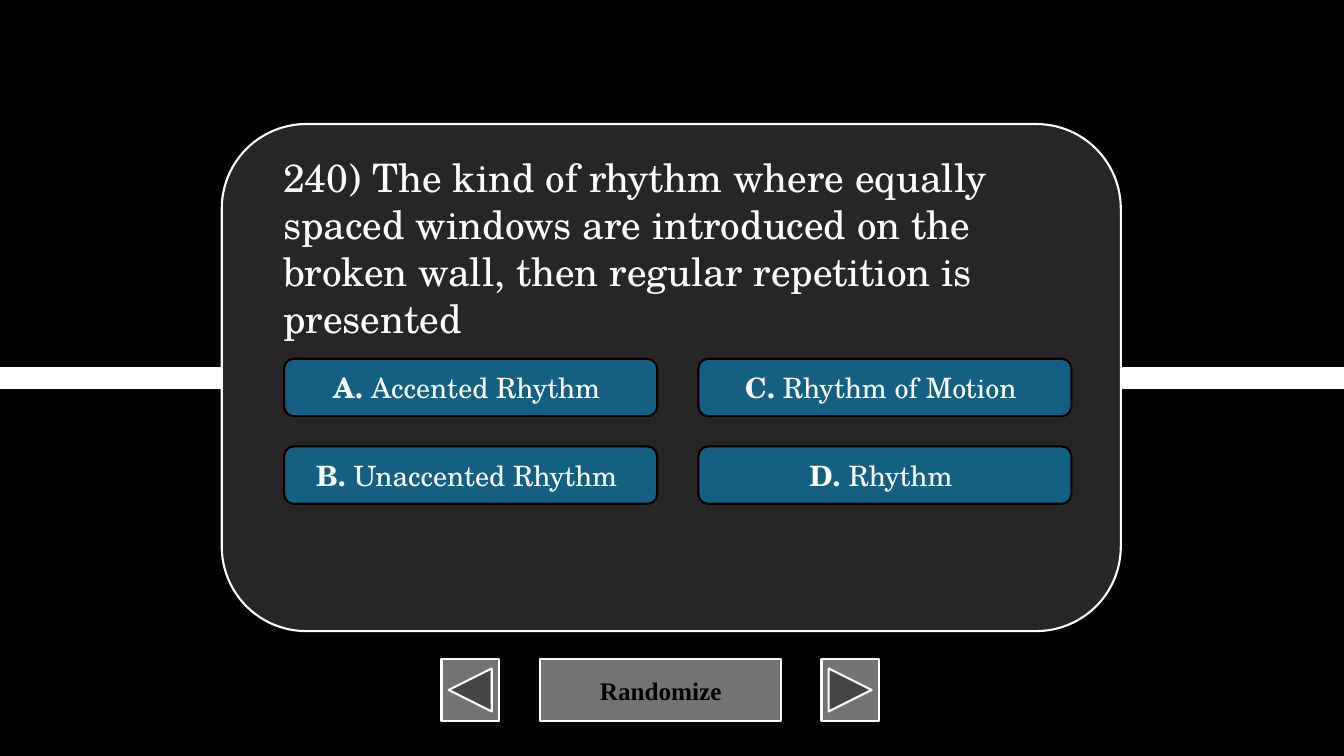
from dataclasses import dataclass

from lxml import etree
from pptx import Presentation
from pptx.dml.color import RGBColor
from pptx.enum.shapes import MSO_CONNECTOR, MSO_SHAPE
from pptx.enum.text import MSO_ANCHOR, MSO_AUTO_SIZE, PP_ALIGN
from pptx.oxml.ns import qn
from pptx.shapes.autoshape import Shape
from pptx.slide import Slide
from pptx.text.text import _Paragraph
from pptx.util import Pt

STRAIGHT = MSO_CONNECTOR.STRAIGHT
ROUNDED = MSO_SHAPE.ROUNDED_RECTANGLE
BLANK_BUTTON = MSO_SHAPE.ACTION_BUTTON_CUSTOM
BACK_BUTTON = MSO_SHAPE.ACTION_BUTTON_BACK_OR_PREVIOUS
NEXT_BUTTON = MSO_SHAPE.ACTION_BUTTON_FORWARD_OR_NEXT
MIDDLE, TOP = MSO_ANCHOR.MIDDLE, MSO_ANCHOR.TOP
CENTER, LEFT = PP_ALIGN.CENTER, PP_ALIGN.LEFT
NO_AUTOFIT = MSO_AUTO_SIZE.NONE

BLACK = RGBColor(0x00, 0x00, 0x00)
WHITE = RGBColor(0xFF, 0xFF, 0xFF)
PANEL_GRAY = RGBColor(0x26, 0x26, 0x26)
BUTTON_GRAY = RGBColor(0x74, 0x74, 0x74)
ANSWER_BLUE = RGBColor(0x15, 0x60, 0x82)

QUIZ_FONT = "TeX Gyre Schola"
BUTTON_FONT = "Times New Roman"

SLIDE_WIDTH, SLIDE_HEIGHT = 960, 540
ANSWER_LEFT, ANSWER_TOP = 203, 256.3
ANSWER_WIDTH, ANSWER_HEIGHT = 266.4, 41
COLUMN_STEP, ROW_STEP = 295.9, 62.6
ANSWER_ROWS = 2

QUESTION = (
    "240) The kind of rhythm where equally spaced windows are introduced "
    "on the broken wall, then regular repetition is presented"
)


@dataclass(frozen=True)
class Box:
    left: float
    top: float
    width: float
    height: float


@dataclass(frozen=True)
class Answer:
    letter: str
    wording: str


ANSWERS = [
    Answer("A. ", "Accented Rhythm "),
    Answer("B. ", "Unaccented Rhythm "),
    Answer("C. ", "Rhythm of Motion "),
    Answer("D. ", "Rhythm "),
]


def add_run(paragraph: _Paragraph, text: str, font: str, size: float,
            color: RGBColor, bold: bool = False) -> None:
    run = paragraph.add_run()
    run.text = text
    run.font.name = font
    run.font.size = Pt(size)
    run.font.bold = bold
    run.font.color.rgb = color


def add_panel(slide: Slide, preset: MSO_SHAPE, box: Box,
              fill: RGBColor, outline: RGBColor) -> Shape:
    """Add a flat filled shape whose text is centred both ways."""
    panel = slide.shapes.add_shape(
        preset, Pt(box.left), Pt(box.top), Pt(box.width), Pt(box.height))
    panel.shadow.inherit = False
    panel.fill.solid()
    panel.fill.fore_color.rgb = fill
    panel.line.color.rgb = outline
    panel.line.width = Pt(1.5)
    panel.text_frame.vertical_anchor = MIDDLE
    panel.text_frame.paragraphs[0].alignment = CENTER
    return panel


def add_band(slide: Slide) -> None:
    """Draw the thick white line across the middle of the slide."""
    middle = Pt(SLIDE_HEIGHT / 2)
    band = slide.shapes.add_connector(
        STRAIGHT, Pt(0), middle, Pt(SLIDE_WIDTH), middle)
    band.line.color.rgb = WHITE
    band.line.width = Pt(16)
    etree.SubElement(band._element.spPr, qn("a:effectLst"))


def add_navigation(slide: Slide) -> None:
    top, height, arrow_width = 470.9, 43.9, 41
    randomize = add_panel(slide, BLANK_BUTTON, Box(385.9, top, 172.1, height),
                          BUTTON_GRAY, WHITE)
    add_run(randomize.text_frame.paragraphs[0], "Randomize",
            BUTTON_FONT, 18, BLACK, bold=True)
    for preset, left in ((BACK_BUTTON, 315.4), (NEXT_BUTTON, 586.8)):
        add_panel(slide, preset, Box(left, top, arrow_width, height),
                  BUTTON_GRAY, WHITE)


def add_answers(slide: Slide) -> None:
    """Lay the answers out column by column."""
    for index, answer in enumerate(ANSWERS):
        column, row = divmod(index, ANSWER_ROWS)
        box = Box(ANSWER_LEFT + column * COLUMN_STEP,
                  ANSWER_TOP + row * ROW_STEP, ANSWER_WIDTH, ANSWER_HEIGHT)
        button = add_panel(slide, ROUNDED, box, ANSWER_BLUE, BLACK)
        line = button.text_frame.paragraphs[0]
        add_run(line, answer.letter, QUIZ_FONT, 20, WHITE, bold=True)
        add_run(line, answer.wording, QUIZ_FONT, 20, WHITE)


def place_question(slide: Slide) -> None:
    """Format the title placeholder and bring it in front of the panel."""
    question = slide.shapes.title
    question.left, question.top = Pt(195.1), Pt(105.8)
    question.width, question.height = Pt(570.2), Pt(143.3)
    frame = question.text_frame
    frame.word_wrap = True
    frame.auto_size = NO_AUTOFIT
    frame.vertical_anchor = TOP
    frame.paragraphs[0].alignment = LEFT
    add_run(frame.paragraphs[0], QUESTION, QUIZ_FONT, 28, WHITE)
    slide.shapes._spTree.append(question._element)


def main() -> None:
    deck = Presentation()
    deck.slide_width, deck.slide_height = Pt(SLIDE_WIDTH), Pt(SLIDE_HEIGHT)
    title_only = deck.slide_layouts[5]
    slide = deck.slides.add_slide(title_only)
    slide.background.fill.solid()
    slide.background.fill.fore_color.rgb = BLACK

    add_band(slide)
    add_navigation(slide)
    add_panel(slide, ROUNDED, Box(158.4, 88.6, 642.2, 362.2),
              PANEL_GRAY, WHITE)
    add_answers(slide)
    place_question(slide)
    deck.save("out.pptx")


if __name__ == "__main__":
    main()
